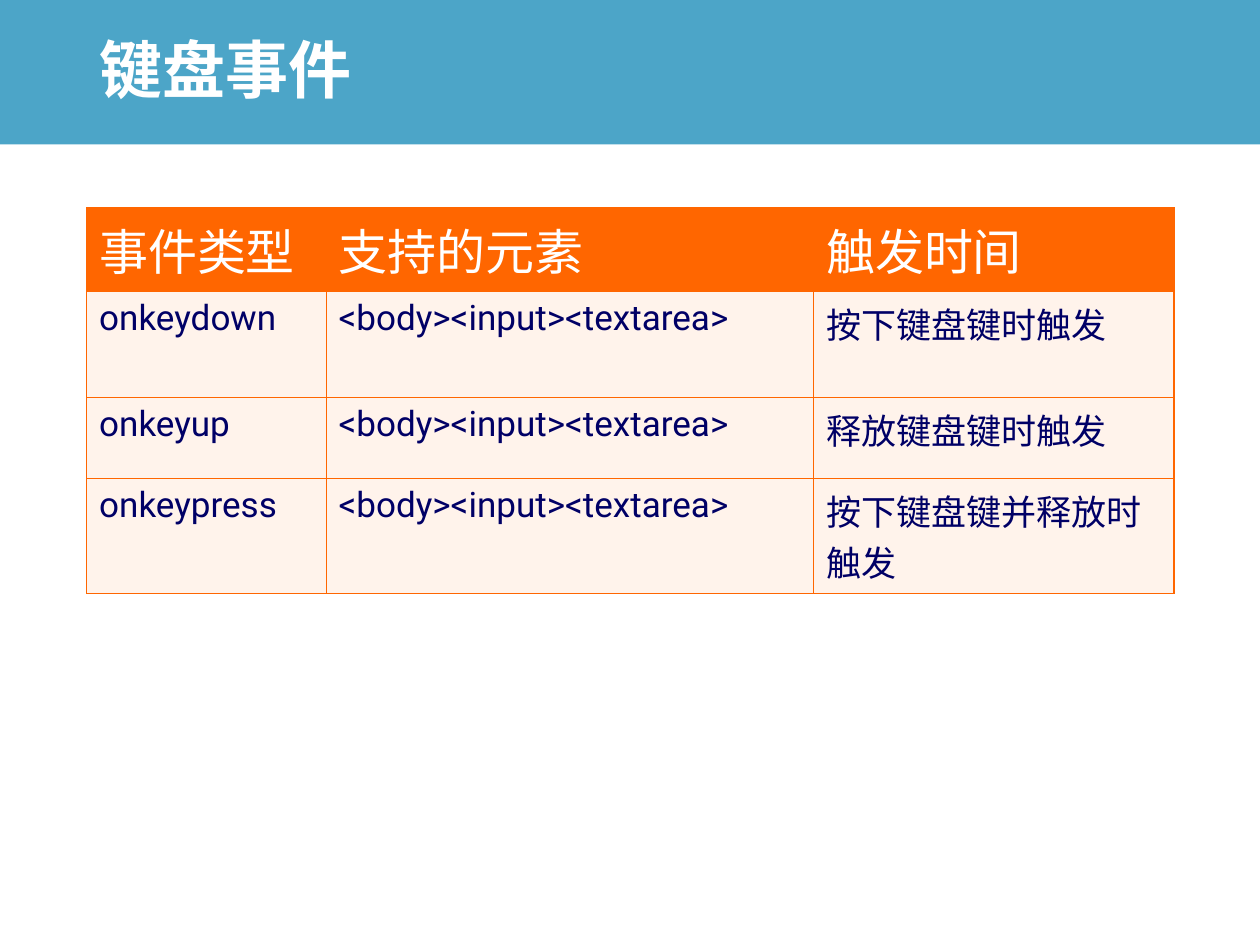
from dataclasses import dataclass

import pptx
import pptx.dml.color
import pptx.enum.shapes
import pptx.enum.text
import pptx.oxml
import pptx.oxml.ns
import pptx.util
from pptx.util import Pt


@dataclass(frozen=True)
class Theme:
    band: str = "0080B2"
    band_opacity: int = 70
    accent: str = "FF6600"
    light: str = "FFFFFF"
    cell: str = "FFF3EB"
    ink: str = "000066"
    title_font: str = "Arial"
    table_font: str = "Roboto"
    title_size: int = 36
    header_size: int = 28
    body_size: int = 20
    thick: float = 0.75
    thin: float = 0.45


THEME = Theme()
EVENTS = [
    ("事件类型", "支持的元素", "触发时间"),
    ("onkeydown", "<body><input><textarea>", "按下键盘键时触发"),
    ("onkeyup", "<body><input><textarea>", "释放键盘键时触发"),
    ("onkeypress", "<body><input><textarea>", "按下键盘键并释放时触发"),
]
COLUMN_WIDTHS = (136.8, 278.64, 205.92)
ROW_HEIGHTS = (47, 60.5, 46.5, 65.5)


def rgb(value):
    return pptx.dml.color.RGBColor.from_string(value)


def format_text(paragraph, font, size, colour, bold=False):
    paragraph.font.name = font
    paragraph.font.size = Pt(size)
    paragraph.font.bold = bold
    paragraph.font.color.rgb = rgb(colour)


def add_band(slide, left, top, width, height):
    """Place the translucent band behind everything else."""
    band = slide.shapes.add_shape(
        pptx.enum.shapes.MSO_SHAPE.RECTANGLE, Pt(left), Pt(top), Pt(width), Pt(height))
    band.shadow.inherit = False
    band.line.fill.background()
    band.fill.solid()
    band.fill.fore_color.rgb = rgb(THEME.band)
    colour = band._element.spPr.find(".//" + pptx.oxml.ns.qn("a:srgbClr"))
    colour.append(pptx.oxml.parse_xml(
        f'<a:alpha {pptx.oxml.ns.nsdecls("a")} val="{THEME.band_opacity * 1000}"/>'))
    slide.shapes._spTree.insert(2, band._element)


def place_title(slide, text, left, top, width, height):
    title = slide.shapes.title
    title.left, title.top, title.width, title.height = map(Pt, (left, top, width, height))
    title.text_frame.text = text
    title.text_frame.vertical_anchor = pptx.enum.text.MSO_ANCHOR.MIDDLE
    heading = title.text_frame.paragraphs[0]
    heading.alignment = pptx.enum.text.PP_ALIGN.LEFT
    heading.line_spacing = 0.9
    format_text(heading, THEME.title_font, THEME.title_size, THEME.light, bold=True)


def set_borders(cell, widths):
    """Draw the left, right, top and bottom borders in the accent colour."""
    properties = cell._tc.get_or_add_tcPr()
    for side, width in zip("LRTB", widths):
        properties.append(pptx.oxml.parse_xml(
            f'<a:ln{side} {pptx.oxml.ns.nsdecls("a")} w="{int(Pt(width))}">'
            f'<a:solidFill><a:srgbClr val="{THEME.accent}"/></a:solidFill></a:ln{side}>'))


def add_event_table(slide, left, top):
    table = slide.shapes.add_table(
        len(EVENTS), len(COLUMN_WIDTHS), Pt(left), Pt(top),
        Pt(sum(COLUMN_WIDTHS)), Pt(sum(ROW_HEIGHTS))).table
    table.first_row = table.horz_banding = False
    for column, width in zip(table.columns, COLUMN_WIDTHS):
        column.width = Pt(width)
    for row, height in zip(table.rows, ROW_HEIGHTS):
        row.height = Pt(height)

    last_column = len(COLUMN_WIDTHS) - 1
    for r, event in enumerate(EVENTS):
        fill, ink, size = (
            (THEME.accent, THEME.light, THEME.header_size) if r == 0
            else (THEME.cell, THEME.ink, THEME.body_size))
        for c, text in enumerate(event):
            cell = table.cell(r, c)
            cell.text = text
            format_text(cell.text_frame.paragraphs[0], THEME.table_font, size, ink)
            set_borders(cell, (
                THEME.thick if c == 0 else THEME.thin,
                THEME.thick if c == last_column else THEME.thin,
                THEME.thick, THEME.thick))
            cell.fill.solid()
            cell.fill.fore_color.rgb = rgb(fill)


def main():
    deck = pptx.Presentation()
    deck.slide_width, deck.slide_height = Pt(720), Pt(540)
    slide = deck.slides.add_slide(deck.slide_layouts.get_by_name("Title Only"))
    add_band(slide, -0.72, -1.44, 720.72, 84)
    place_title(slide, "键盘事件", 49.5, 11.5, 621.5, 61)
    add_event_table(slide, 49.5, 118.8)
    deck.save("out.pptx")


if __name__ == "__main__":
    main()
